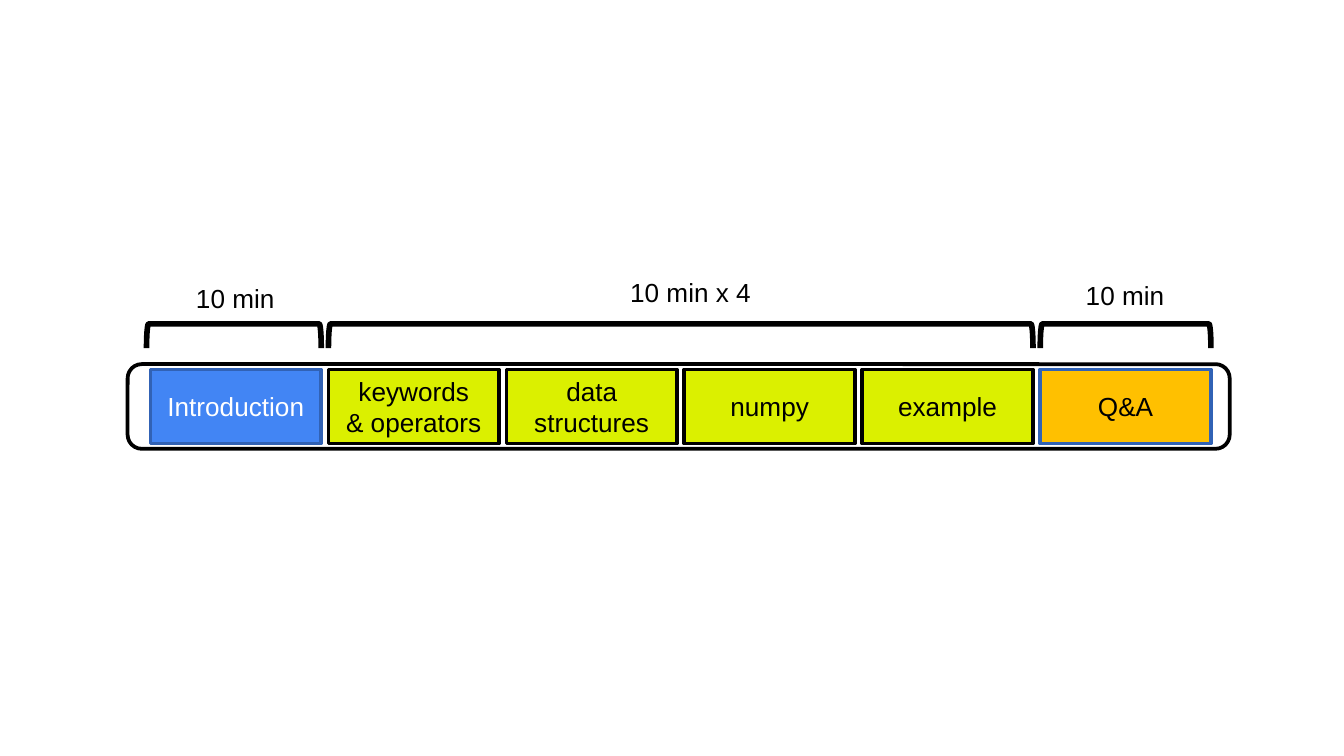
from dataclasses import dataclass

from pptx import Presentation
from pptx import util as u
from pptx.dml.color import RGBColor
from pptx.enum import shapes, text

BLACK = RGBColor(0x00, 0x00, 0x00)
WHITE = RGBColor(0xFF, 0xFF, 0xFF)
BLUE = RGBColor(0x42, 0x85, 0xF4)
DARK_BLUE = RGBColor(0x31, 0x62, 0xB5)
LIME = RGBColor(0xDB, 0xF0, 0x00)
AMBER = RGBColor(0xFF, 0xC0, 0x00)

# A 16:9 slide
SLIDE_WIDTH = u.Inches(10)
SLIDE_HEIGHT = SLIDE_WIDTH * 9 // 16

# Timeline grid, in inches: equal columns from the first to the last left edge
FIRST_LEFT, LAST_LEFT, CELL_WIDTH = 1.12, 7.74, 1.27
CELL_TOP, CELL_HEIGHT = 2.75, 0.55
BRACKET_MIDDLE, BRACKET_DEPTH = 2.5, 0.18
LABEL_HEIGHT = 0.34
FONT = {"name": "Arial", "size": u.Pt(14)}


@dataclass
class Session:
    title: str
    fill: RGBColor = LIME
    line: RGBColor = BLACK
    font_color: RGBColor = BLACK


@dataclass
class Duration:
    label: str
    first: int
    last: int
    label_left: float
    label_top: float
    label_width: float
    overhang: float = 0


SESSIONS = [
    Session("Introduction", BLUE, DARK_BLUE, WHITE),
    Session("keywords\n& operators"),
    Session("data structures"),
    Session("numpy"),
    Session("example"),
    Session("Q&A", AMBER, DARK_BLUE),
]
DURATIONS = [
    Duration("10 min", 0, 0, 1.36, 2.05, 0.79, overhang=0.03),
    Duration("10 min x 4", 1, 4, 4.59, 2.01, 1.1),
    Duration("10 min", 5, 5, 7.98, 2.03, 0.79),
]


def column_left(column: int) -> float:
    pitch = (LAST_LEFT - FIRST_LEFT) / (len(SESSIONS) - 1)
    return FIRST_LEFT + column * pitch


def add_outline(slide, kind, box: tuple, line: RGBColor, weight: float,
                fill: RGBColor | None = None):
    shape = slide.shapes.add_shape(kind, *map(u.Inches, box))
    shape.shadow.inherit = False
    shape.line.color.rgb = line
    shape.line.width = u.Pt(weight)
    if fill is None:
        shape.fill.background()
    else:
        shape.fill.solid()
        shape.fill.fore_color.rgb = fill
    return shape


def write(frame, wording: str, color: RGBColor, alignment) -> None:
    frame.text = wording
    for paragraph in frame.paragraphs:
        paragraph.alignment = alignment
        for name, value in FONT.items():
            setattr(paragraph.font, name, value)
        paragraph.font.color.rgb = color


def add_session(slide, column: int, session: Session) -> None:
    box = (column_left(column), CELL_TOP, CELL_WIDTH, CELL_HEIGHT)
    shape = add_outline(slide, shapes.MSO_SHAPE.RECTANGLE, box,
                        session.line, 2, session.fill)
    shape.text_frame.vertical_anchor = text.MSO_ANCHOR.MIDDLE
    write(shape.text_frame, session.title, session.font_color,
          text.PP_ALIGN.CENTER)


def add_duration(slide, duration: Duration) -> None:
    # A left bracket turned by 90 degrees opens downwards
    left = column_left(duration.first) - duration.overhang
    right = column_left(duration.last) + CELL_WIDTH
    span, center = right - left, (left + right) / 2
    box = (center - BRACKET_DEPTH / 2, BRACKET_MIDDLE - span / 2,
           BRACKET_DEPTH, span)
    bracket = add_outline(slide, shapes.MSO_SHAPE.LEFT_BRACKET, box, BLACK, 3)
    bracket.rotation = 90

    label_box = (duration.label_left, duration.label_top,
                 duration.label_width, LABEL_HEIGHT)
    label = slide.shapes.add_textbox(*map(u.Inches, label_box))
    label.text_frame.word_wrap = False
    label.text_frame.auto_size = text.MSO_AUTO_SIZE.SHAPE_TO_FIT_TEXT
    write(label.text_frame, duration.label, BLACK, text.PP_ALIGN.LEFT)


def main() -> None:
    presentation = Presentation()
    presentation.slide_width = SLIDE_WIDTH
    presentation.slide_height = SLIDE_HEIGHT
    slide = presentation.slides.add_slide(presentation.slide_layouts[6])

    # Rounded frame behind the sessions
    add_outline(slide, shapes.MSO_SHAPE.ROUNDED_RECTANGLE,
                (0.95, 2.71, 8.2, 0.63), BLACK, 2, WHITE)

    # Sessions and their durations
    for column, session in enumerate(SESSIONS):
        add_session(slide, column, session)
    for duration in DURATIONS:
        add_duration(slide, duration)

    presentation.save("out.pptx")


if __name__ == "__main__":
    main()
